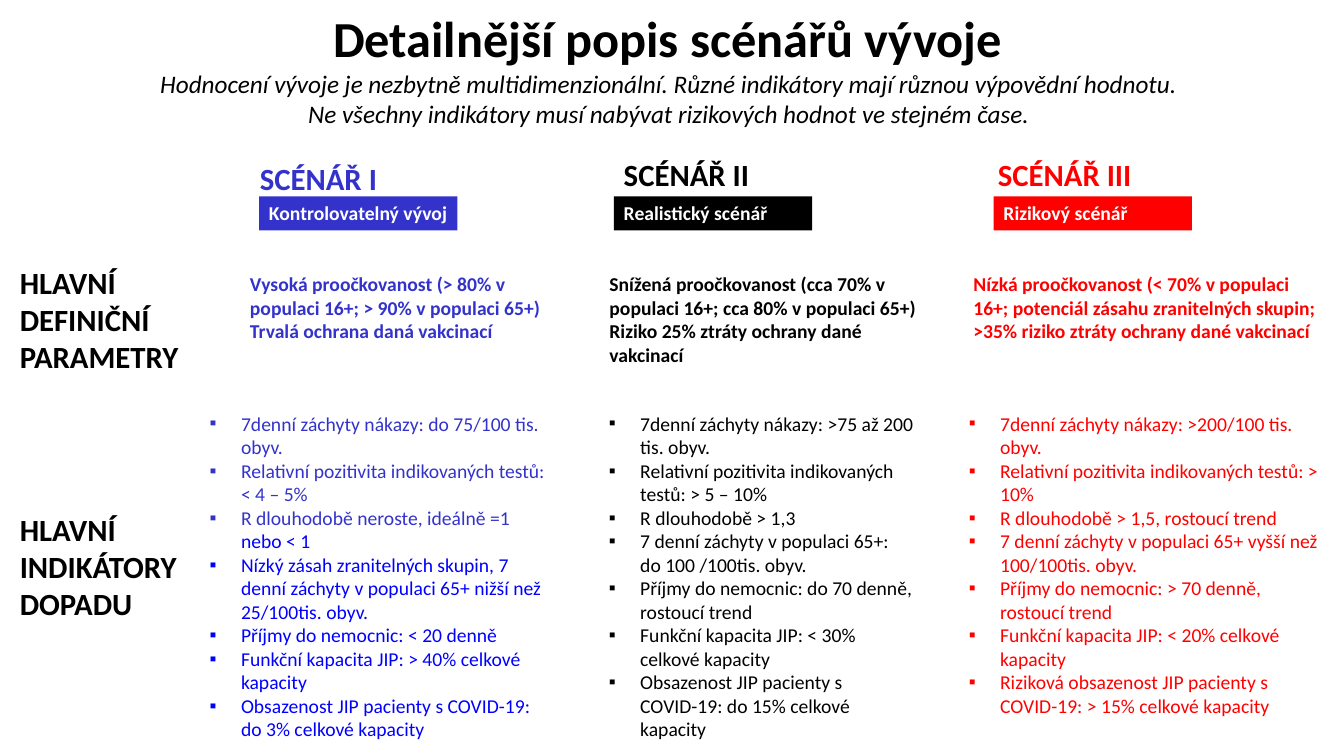
from lxml import etree
from pptx import Presentation
from pptx.dml.color import RGBColor
from pptx.enum.shapes import MSO_SHAPE
from pptx.enum.text import MSO_ANCHOR, MSO_AUTO_SIZE, PP_ALIGN
from pptx.oxml.ns import qn
from pptx.util import Cm, Pt

RECT = MSO_SHAPE.RECTANGLE
TOP = MSO_ANCHOR.TOP
NO_FIT = MSO_AUTO_SIZE.NONE
LEFT, CENTER = PP_ALIGN.LEFT, PP_ALIGN.CENTER

FONT = "Calibri"
BLACK, WHITE, RED = "000000", "FFFFFF", "FF0000"
INDIGO, BLUE = "3333CC", "0000FF"
INDENT = Cm(0.79)


def rgb(value):
    return RGBColor.from_string(value)


def write(sp, box, paragraphs, size, colour, bold=False, italic=False,
          align=LEFT, bullet=None):
    """Place sp and fill it; text after "|" is blue, "\n" breaks a line."""
    sp.left, sp.top, sp.width, sp.height = [Cm(v) for v in box]
    tf = sp.text_frame
    tf.word_wrap = True
    tf.auto_size = NO_FIT
    tf.vertical_anchor = TOP
    for i, text in enumerate(paragraphs):
        p = tf.paragraphs[0] if i == 0 else tf.add_paragraph()
        p.alignment = align
        p.space_before = Pt(0)
        pPr = p._p.get_or_add_pPr()
        pPr.set("marL", str(INDENT if bullet else 0))
        pPr.set("indent", str(-INDENT if bullet else 0))
        if bullet:
            etree.SubElement(pPr, qn("a:buFont")).set("typeface", "Arial")
            etree.SubElement(pPr, qn("a:buChar")).set("char", bullet)
        for part, run_colour in zip(text.split("|"), (colour, BLUE)):
            for n, line in enumerate(part.split("\n")):
                if n:
                    p.add_line_break()
                if not line:
                    continue
                r = p.add_run()
                r.text = line
                r.font.name, r.font.size = FONT, Pt(size)
                r.font.bold, r.font.italic = bold, italic
                r.font.color.rgb = rgb(run_colour)


prs = Presentation()
prs.slide_width, prs.slide_height = Cm(33.87), Cm(19.05)
s = prs.slides.add_slide(prs.slide_layouts[4])  # title and four bodies
bodies = [ph for ph in s.placeholders if ph.placeholder_format.idx in (1, 2, 3, 4)]

# Title and subtitle
write(s.shapes.title, (0.32, 0.05, 33.02, 1.8),
      ["Detailnější popis scénářů vývoje"], 36, BLACK, bold=True, align=CENTER)
write(bodies[0], (0.74, 1.6, 32.23, 1.8), [
    "Hodnocení vývoje je nezbytně multidimenzionální. "
    "Různé indikátory mají různou výpovědní hodnotu.",
    "Ne všechny indikátory musí nabývat rizikových hodnot ve stejném čase.",
], 18, BLACK, italic=True, align=CENTER)

# Row labels
for y, label in ((6.53, "HLAVNÍ DEFINIČNÍ PARAMETRY"),
                 (12.75, "HLAVNÍ INDIKÁTORY DOPADU")):
    write(s.shapes.add_textbox(0, 0, 0, 0), (0.25, y, 4.78, 3.07),
          [label], 22, BLACK, bold=True)

# Scenario columns
scenarios = [
    {
        "colour": INDIGO,
        "name": "SCÉNÁŘ I", "name_at": (6.3, 3.89),
        "tag": "Kontrolovatelný vývoj", "tag_x": 6.53,
        "params_box": (6.05, 6.73, 8.08, 2.06),
        "params": ["Vysoká proočkovanost (> 80% v populaci 16+; > 90% v populaci 65+)",
                   "Trvalá ochrana daná vakcinací"],
        "list_box": (5.03, 10.24, 9.07, 8.64),
        "list": ["7denní záchyty nákazy: do 75/100 tis. obyv.",
                 "Relativní pozitivita indikovaných testů: < 4 – 5%",
                 "R dlouhodobě neroste, ideálně =1 |nebo < 1",
                 "|Nízký zásah zranitelných skupin, 7 denní záchyty v populaci 65+ "
                 "nižší než 25/100tis. obyv.",
                 "|Příjmy do nemocnic: < 20 denně",
                 "|Funkční kapacita JIP: > 40% celkové kapacity",
                 "|Obsazenost JIP pacienty s COVID-19: do 3% celkové kapacity"],
    },
    {
        "colour": BLACK,
        "name": "SCÉNÁŘ II", "name_at": (15.47, 3.81),
        "tag": "Realistický scénář", "tag_x": 15.47,
        "params_box": (15.11, 6.73, 8.28, 2.64),
        "params": ["Snížená proočkovanost (cca 70% v populaci 16+; cca 80% v populaci 65+)",
                   "Riziko 25% ztráty ochrany dané vakcinací"],
        "list_box": (15.09, 10.24, 8.31, 8.64),
        "list": ["7denní záchyty nákazy: >75 až 200 tis. obyv.",
                 "Relativní pozitivita indikovaných testů: > 5 – 10%",
                 "R dlouhodobě > 1,3",
                 "7 denní záchyty v populaci 65+:\ndo 100 /100tis. obyv.",
                 "Příjmy do nemocnic: do 70 denně, rostoucí trend",
                 "Funkční kapacita JIP: < 30% celkové kapacity",
                 "Obsazenost JIP pacienty s COVID-19: do 15% celkové kapacity"],
    },
    {
        "colour": RED,
        "name": "SCÉNÁŘ III", "name_at": (24.9, 3.81),
        "tag": "Rizikový scénář", "tag_x": 25.04,
        "params_box": (24.28, 6.73, 9.32, 2.06),
        "params": ["Nízká proočkovanost (< 70% v populaci 16+; potenciál zásahu "
                   "zranitelných skupin; >35% riziko ztráty ochrany dané vakcinací"],
        "list_box": (24.16, 10.24, 9.32, 8.03),
        "list": ["7denní záchyty nákazy: >200/100 tis. obyv.",
                 "Relativní pozitivita indikovaných testů: > 10%",
                 "R dlouhodobě > 1,5, rostoucí trend",
                 "7 denní záchyty v populaci 65+ vyšší než 100/100tis. obyv.",
                 "Příjmy do nemocnic: > 70 denně, rostoucí trend",
                 "Funkční kapacita JIP: < 20% celkové kapacity",
                 "Riziková obsazenost JIP pacienty s COVID-19: > 15% celkové kapacity"],
    },
]

for sc, body in zip(scenarios, bodies[1:]):
    colour = sc["colour"]
    write(s.shapes.add_textbox(0, 0, 0, 0), (*sc["name_at"], 5.23, 1.19),
          [sc["name"]], 22, colour, bold=True)

    tag = s.shapes.add_shape(RECT, 0, 0, 0, 0)
    tag.shadow.inherit = False
    tag.fill.solid()
    tag.fill.fore_color.rgb = rgb(colour)
    tag.line.fill.background()
    tag.text_frame.margin_right = 0
    write(tag, (sc["tag_x"], 4.95, 5, 0.86), [sc["tag"]], 14, WHITE, bold=True)

    write(s.shapes.add_textbox(0, 0, 0, 0), sc["params_box"],
          sc["params"], 14, colour, bold=True)
    write(body, sc["list_box"], sc["list"], 14, colour, bullet="▪")

prs.save("out.pptx")
